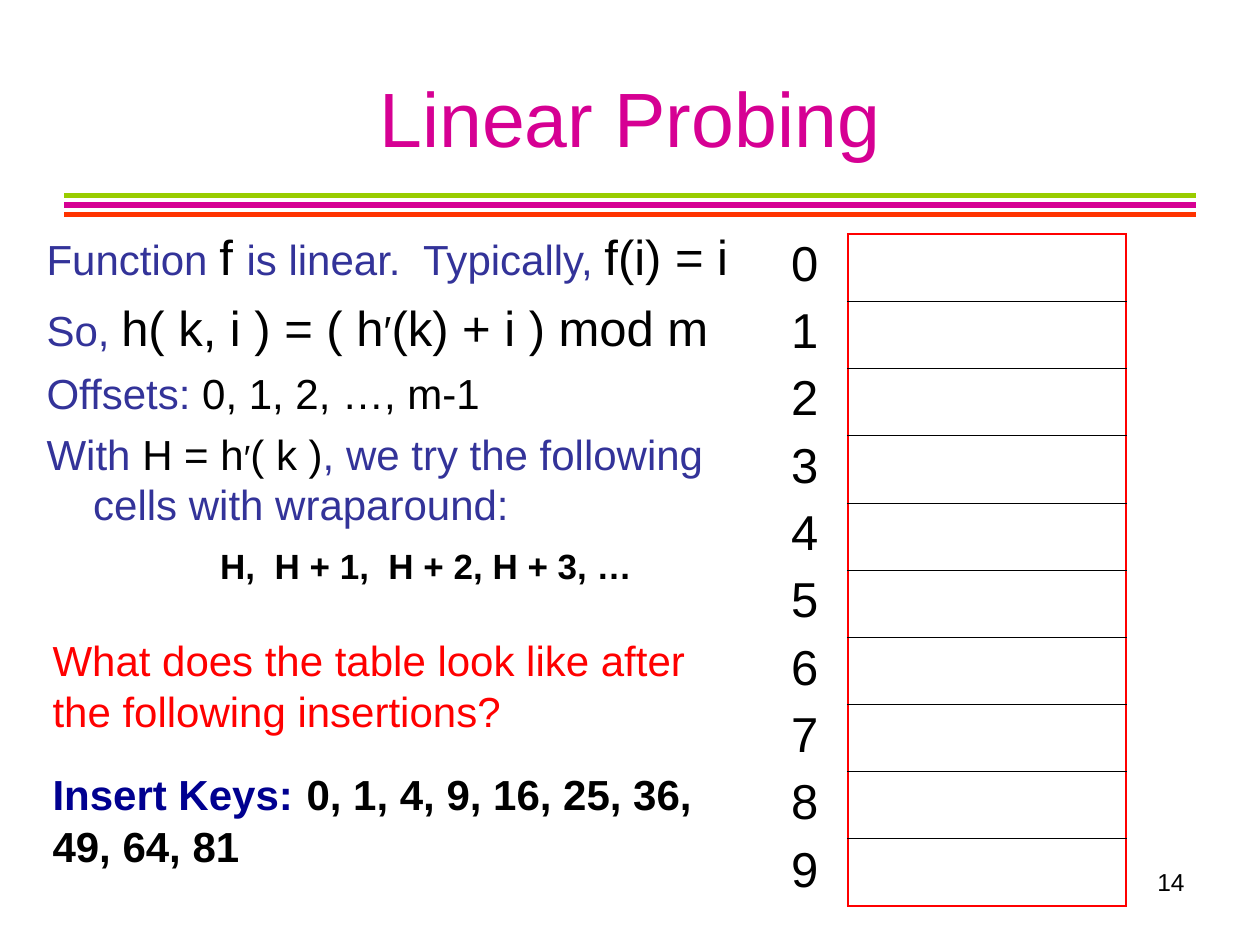
from lxml.etree import SubElement
from pptx import Presentation
from pptx.dml.color import RGBColor
from pptx.enum.shapes import MSO_CONNECTOR
from pptx.enum.text import MSO_ANCHOR, PP_ALIGN
from pptx.oxml import parse_xml
from pptx.oxml.ns import nsdecls, qn
from pptx.util import Cm, Pt


def hex_color(value):
    return RGBColor.from_string(value)


def add_text(paragraph, text, size=24, color="000000", bold=False):
    run = paragraph.add_run()
    run.text = text
    run.font.name = "Arial"
    run.font.size = Pt(size)
    run.font.bold = bold
    run.font.color.rgb = hex_color(color)


BLUE = "333399"
BLACK = "000000"
RED = "FF0000"
MAGENTA = "D60093"

presentation = Presentation()
presentation.slide_width = Cm(25.4)
presentation.slide_height = Cm(19.05)
slide = presentation.slides.add_slide(presentation.slide_layouts[6])

for index, color in enumerate(["99CC00", MAGENTA, "FF3300"]):
    top = Cm(3.94 + 0.19 * index)
    rule = slide.shapes.add_connector(MSO_CONNECTOR.STRAIGHT, Cm(1.3), top, Cm(24.1), top)
    rule.line.color.rgb = hex_color(color)
    rule.line.width = Pt(3)
    SubElement(rule._element.spPr, qn("a:effectLst"))

boxes = [
    (18.21, 17.35, 5.92, 1.32, MSO_ANCHOR.TOP, PP_ALIGN.RIGHT, [
        (0, 0, 0, [("14", 14, BLACK, False)]),
    ]),
    (1.27, 0.76, 22.86, 3.18, MSO_ANCHOR.MIDDLE, PP_ALIGN.CENTER, [
        (0, 0, 0, [("Linear Probing", 44, MAGENTA, False)]),
    ]),
    (0.69, 4.45, 15.01, 7.62, MSO_ANCHOR.TOP, PP_ALIGN.LEFT, [
        (0, 0.94, -0.94, [
            ("Function ", 24, BLUE, False),
            ("f ", 28, BLACK, False),
            ("is linear.  Typically, ", 24, BLUE, False),
            ("f(i) = i", 28, BLACK, False),
        ]),
        (7, 0.94, -0.94, [
            ("So, ", 24, BLUE, False),
            ("h( k, i ) = ( h", 28, BLACK, False),
            ("′", 24, BLACK, False),
            ("(k) + i ) mod m", 28, BLACK, False),
        ]),
        (6, 0.94, -0.94, [
            ("Offsets: ", 24, BLUE, False),
            ("0, 1, 2, …, m-1", 24, BLACK, False),
        ]),
        (6, 0.94, -0.94, [
            ("With ", 24, BLUE, False),
            ("H = h", 24, BLACK, False),
            ("′", 20, BLACK, False),
            ("( k )", 24, BLACK, False),
            (", we try the following cells with wraparound:", 24, BLUE, False),
        ]),
        (9, 3.5, 0, [("H,  H + 1,  H + 2, H + 3, …", 20, BLACK, True)]),
    ]),
    (0.81, 12.67, 14.17, 5.08, MSO_ANCHOR.TOP, PP_ALIGN.LEFT, [
        (0, 0, 0, [
            ("What does the table look like after the following insertions?", 24, RED, False),
        ]),
        (15, 0, 0, [
            ("Insert Keys:", 24, "000090", True),
            (" ", 28, BLACK, False),
            ("0, 1, 4, 9, 16, 25, 36, 49, 64, 81", 24, BLACK, True),
        ]),
    ]),
]

for left, top, width, height, anchor, alignment, paragraphs in boxes:
    box = slide.shapes.add_textbox(Cm(left), Cm(top), Cm(width), Cm(height))
    frame = box.text_frame
    frame.word_wrap = True
    frame.vertical_anchor = anchor
    for index, (space_before, margin, indent, runs) in enumerate(paragraphs):
        paragraph = frame.add_paragraph() if index else frame.paragraphs[0]
        paragraph.alignment = alignment
        paragraph.space_before = Pt(space_before)
        properties = paragraph._p.get_or_add_pPr()
        properties.set("marL", str(Cm(margin)))
        properties.set("indent", str(Cm(indent)))
        for text, size, color, bold in runs:
            add_text(paragraph, text, size=size, color=color, bold=bold)

ROWS = 10
tables = []
for left, width in [(15.9, 1.19), (17.09, 5.61)]:
    frame = slide.shapes.add_table(ROWS, 1, Cm(left), Cm(4.72), Cm(width), Cm(13.54))
    table = frame.table
    table.first_row = False
    table.horz_banding = False
    for cell in table.iter_cells():
        cell.fill.background()
    tables.append(table)
labels, slots = tables

for index in range(ROWS):
    label = labels.cell(index, 0)
    label.margin_left = Cm(0.05)
    label.margin_right = Cm(0.2)
    paragraph = label.text_frame.paragraphs[0]
    paragraph.line_spacing = 0.93
    add_text(paragraph, str(index), size=28)

    outer, inner = (RED, 1.08), (BLACK, 0.23)
    borders = {
        "lnL": outer,
        "lnR": outer,
        "lnT": outer if index == 0 else inner,
        "lnB": outer if index == ROWS - 1 else inner,
    }
    properties = slots.cell(index, 0)._tc.get_or_add_tcPr()
    for position, (side, (color, width)) in enumerate(borders.items()):
        properties.insert(position, parse_xml(
            f'<a:{side} {nsdecls("a")} w="{Pt(width)}"><a:solidFill>'
            f'<a:srgbClr val="{hex_color(color)}"/></a:solidFill></a:{side}>'
        ))

presentation.save("out.pptx")
